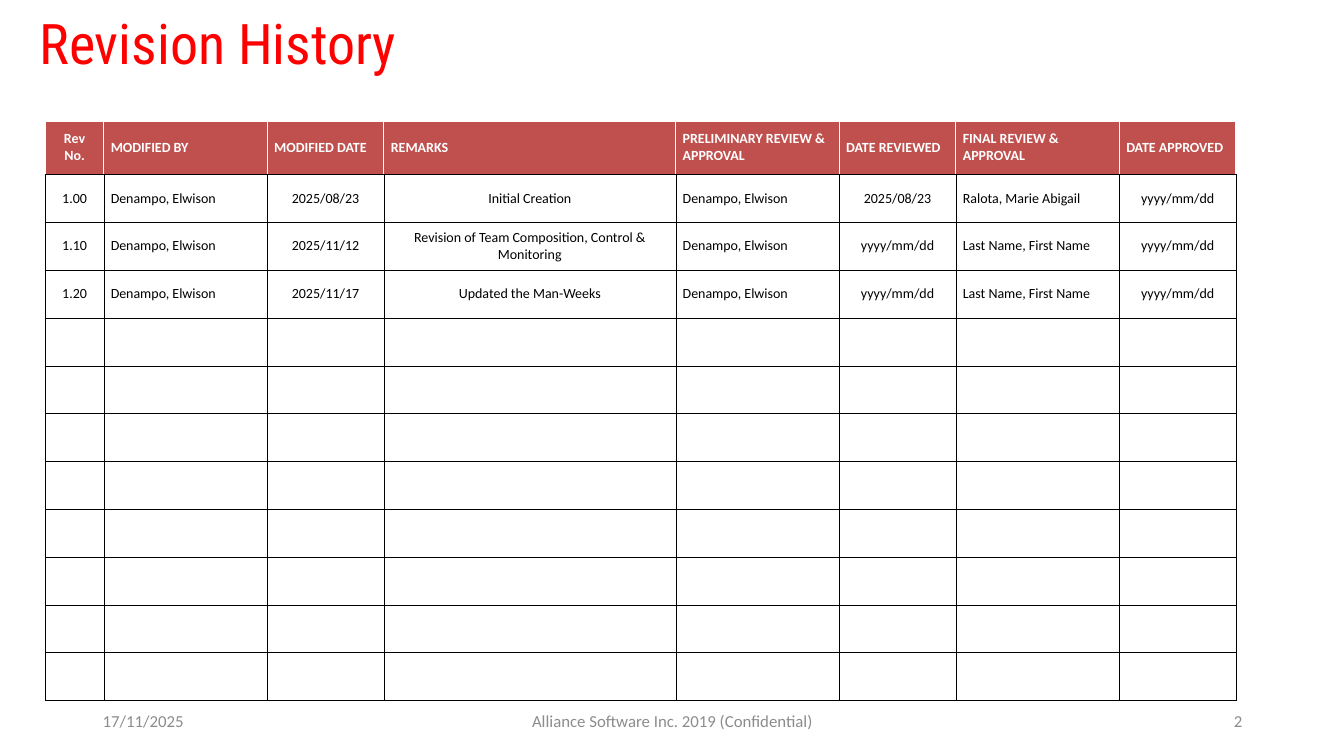
import dataclasses

import lxml.etree
import pptx
import pptx.dml.color
import pptx.enum.text
import pptx.oxml.ns
import pptx.util

Inches = pptx.util.Inches
ALIGN = pptx.enum.text.PP_ALIGN
MIDDLE = pptx.enum.text.MSO_ANCHOR.MIDDLE


@dataclasses.dataclass(frozen=True)
class Theme:
    body_font: str = "Calibri"
    title_font: str = "Roboto Condensed"
    red: str = "FF0000"
    brick: str = "C0504D"
    white: str = "FFFFFF"
    black: str = "000000"
    gray: str = "8C8C8C"
    title_size: int = 40
    table_size: int = 10
    footer_size: int = 12
    header_line: float = 1
    grid_line: float = 0.25


THEME = Theme()
SLIDE_WIDTH, SLIDE_HEIGHT = 13.33, 7.5
COLUMN_SHARES = [1, 2.8, 2, 5, 2.8, 2, 2.8, 2]
HEADER_HEIGHT = 0.53
ROW_COUNT = 12
CENTERED_COLUMNS = {0, 2, 3, 5, 7}
HEADINGS = ["Rev No.", "MODIFIED BY", "MODIFIED DATE", "REMARKS",
            "PRELIMINARY REVIEW & APPROVAL", "DATE REVIEWED",
            "FINAL REVIEW & APPROVAL", "DATE APPROVED"]
AUTHOR, ANYONE, NO_DATE = "Denampo, Elwison", "Last Name, First Name", "yyyy/mm/dd"
REVISIONS = [
    ["1.00", AUTHOR, "2025/08/23", "Initial Creation",
     AUTHOR, "2025/08/23", "Ralota, Marie Abigail", NO_DATE],
    ["1.10", AUTHOR, "2025/11/12", "Revision of Team Composition, Control & Monitoring",
     AUTHOR, NO_DATE, ANYONE, NO_DATE],
    ["1.20", AUTHOR, "2025/11/17", "Updated the Man-Weeks",
     AUTHOR, NO_DATE, ANYONE, NO_DATE],
]


def set_attributes(target, values):
    for name, value in values.items():
        setattr(target, name, value)


def write_text(frame, text, font, size, color, align=ALIGN.LEFT, bold=False):
    paragraph = frame.paragraphs[0]
    paragraph.alignment = align
    run = paragraph.add_run()
    run.text = text
    set_attributes(run.font, {"name": font, "size": pptx.util.Pt(size), "bold": bold})
    run.font.color.rgb = pptx.dml.color.RGBColor.from_string(color)
    return paragraph


def add_border(cell, side, color, width):
    properties = cell._tc.get_or_add_tcPr()
    qualify = pptx.oxml.ns.qn
    line = lxml.etree.SubElement(properties, qualify(f"a:ln{side}"), w=str(pptx.util.Pt(width)))
    fill = lxml.etree.SubElement(line, qualify("a:solidFill"))
    lxml.etree.SubElement(fill, qualify("a:srgbClr"), val=color)


def format_cell(cell, text, is_header, align):
    set_attributes(cell, {
        "margin_left": Inches(0.07), "margin_right": Inches(0.07),
        "margin_top": Inches(0.04), "margin_bottom": Inches(0.04),
        "vertical_anchor": MIDDLE,
    })
    for side in "LRTB":
        if is_header and side != "B":
            add_border(cell, side, THEME.white, THEME.header_line)
        else:
            add_border(cell, side, THEME.black, THEME.grid_line)
    cell.fill.solid()
    cell.fill.fore_color.rgb = pptx.dml.color.RGBColor.from_string(
        THEME.brick if is_header else THEME.white)
    if text:
        write_text(cell.text_frame, text, THEME.body_font, THEME.table_size,
                   THEME.white if is_header else THEME.black, align, is_header)


def add_title(slide, left, top, width, height):
    title = slide.shapes.title
    set_attributes(title, {"left": Inches(left), "top": Inches(top),
                           "width": Inches(width), "height": Inches(height)})
    set_attributes(title.text_frame, {
        "vertical_anchor": MIDDLE, "word_wrap": True,
        "auto_size": pptx.enum.text.MSO_AUTO_SIZE.NONE,
    })
    paragraph = write_text(title.text_frame, "Revision History", THEME.title_font,
                           THEME.title_size, THEME.red)
    set_attributes(paragraph, {"line_spacing": 0.9, "space_before": pptx.util.Pt(0)})


def add_revision_table(slide, left, top, width, height):
    table = slide.shapes.add_table(
        ROW_COUNT, len(HEADINGS), Inches(left), Inches(top),
        Inches(width), Inches(height)).table
    for column, share in zip(table.columns, COLUMN_SHARES):
        column.width = Inches(width * share / sum(COLUMN_SHARES))
    row_height = (height - HEADER_HEIGHT) / (ROW_COUNT - 1)
    blank_rows = [[""] * len(HEADINGS)] * (ROW_COUNT - 1 - len(REVISIONS))
    for row_index, texts in enumerate([HEADINGS] + REVISIONS + blank_rows):
        is_header = row_index == 0
        table.rows[row_index].height = Inches(HEADER_HEIGHT if is_header else row_height)
        for column_index, text in enumerate(texts):
            centered = column_index == 0 if is_header else column_index in CENTERED_COLUMNS
            format_cell(table.cell(row_index, column_index), text, is_header,
                        ALIGN.CENTER if centered else ALIGN.LEFT)


def add_footer(slide, left, top, width, height):
    side_width, center_width = 3, 4.5
    parts = [
        ("17/11/2025", left, side_width, ALIGN.LEFT),
        ("Alliance Software Inc. 2019 (Confidential)",
         left + (width - center_width) / 2, center_width, ALIGN.CENTER),
        ("2", left + width - side_width, side_width, ALIGN.RIGHT),
    ]
    for text, part_left, part_width, align in parts:
        shape = slide.shapes.add_textbox(
            Inches(part_left), Inches(top), Inches(part_width), Inches(height))
        set_attributes(shape.text_frame, {"word_wrap": True, "vertical_anchor": MIDDLE})
        write_text(shape.text_frame, text, THEME.body_font, THEME.footer_size,
                   THEME.gray, align)


def main():
    presentation = pptx.Presentation()
    set_attributes(presentation, {"slide_width": Inches(SLIDE_WIDTH),
                                  "slide_height": Inches(SLIDE_HEIGHT)})
    slide = presentation.slides.add_slide(presentation.slide_layouts[5])
    add_title(slide, 0.29, 0.11, 12.12, 0.7)
    add_revision_table(slide, 0.45, 1.2, 11.81, 5.75)
    add_footer(slide, 0.92, 6.95, 11.5, 0.4)
    presentation.save("out.pptx")


if __name__ == "__main__":
    main()
